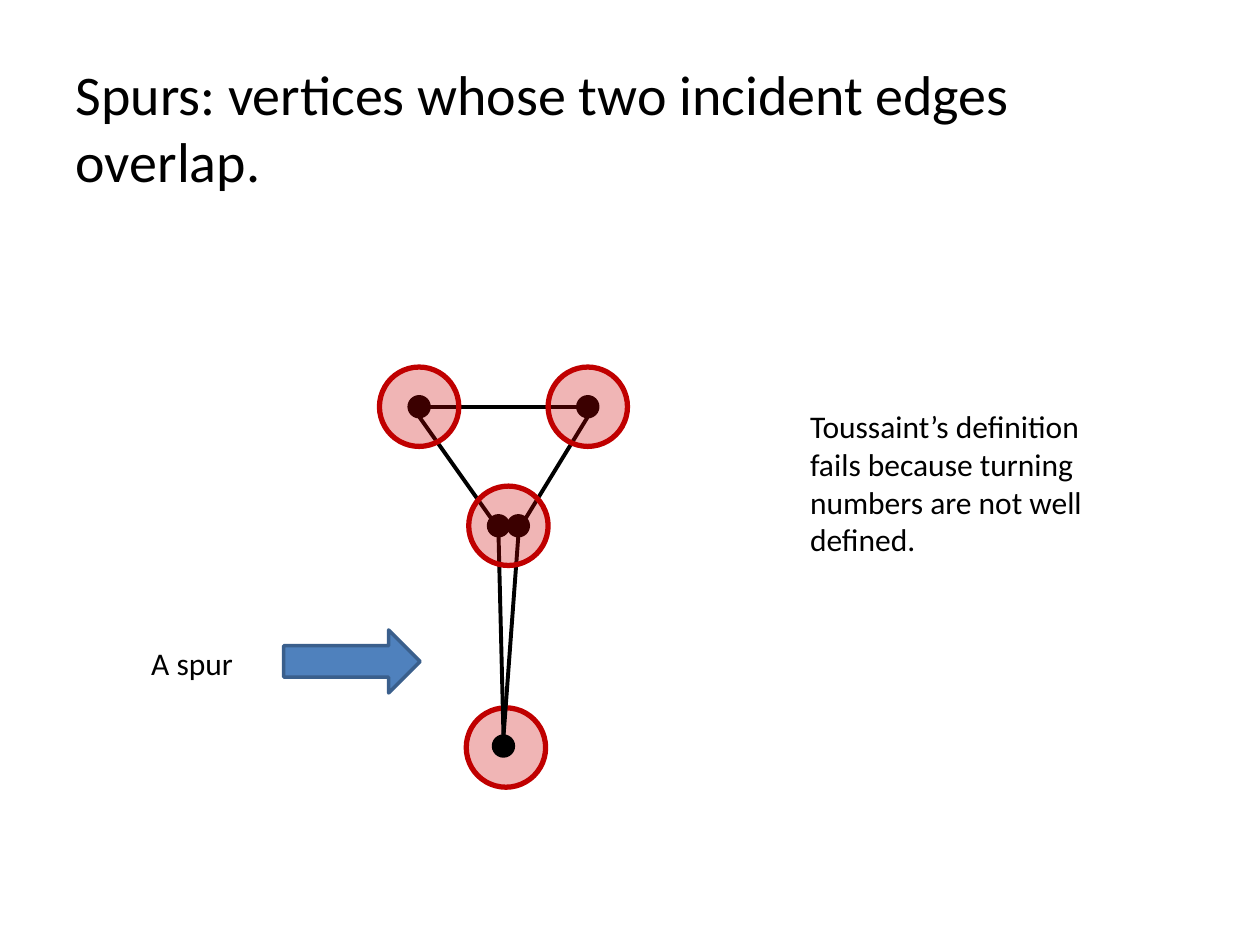
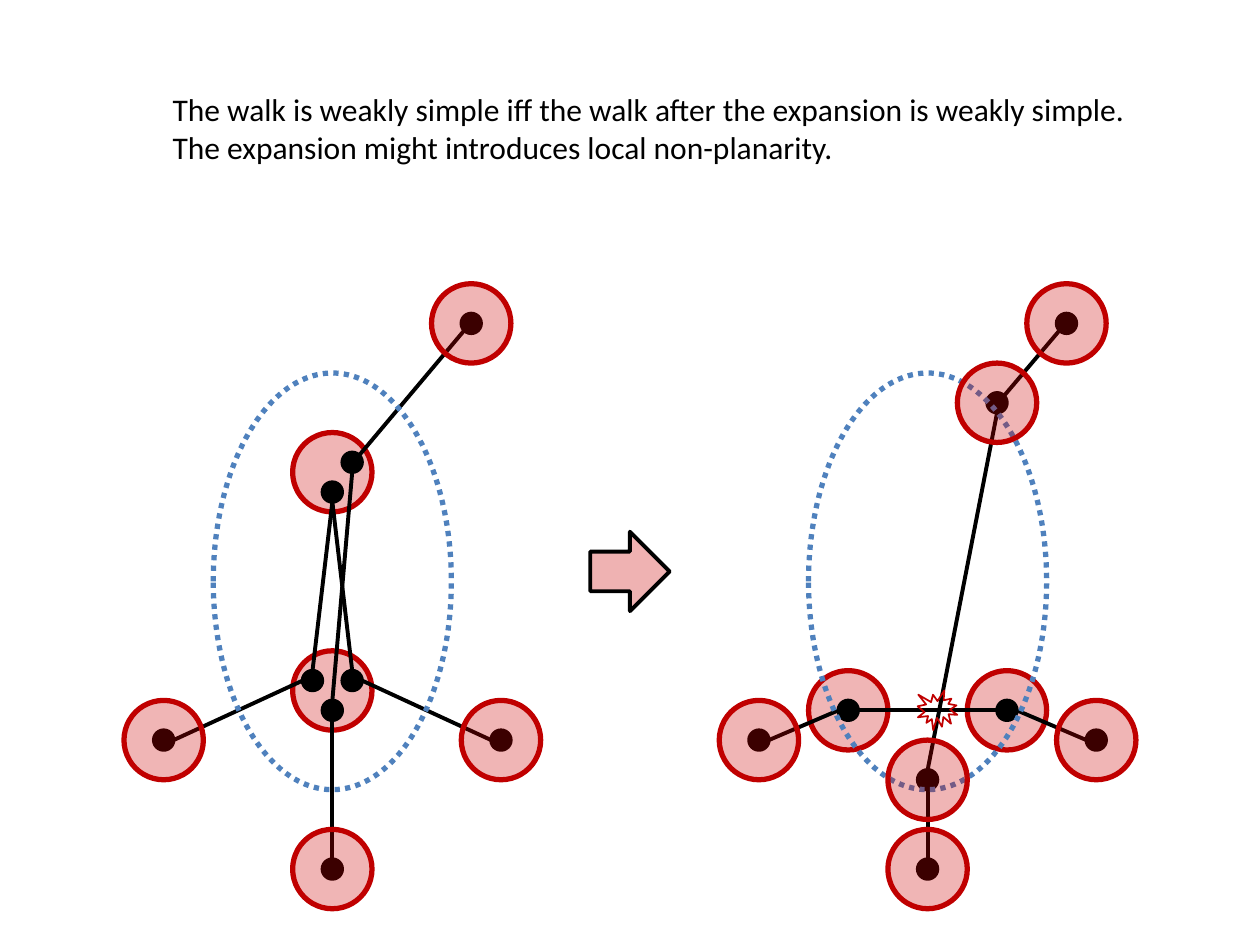
import math

import pptx
import pptx.dml.color
import pptx.enum.dml
import pptx.enum.shapes
import pptx.enum.text
import pptx.oxml.ns
import pptx.oxml.xmlchemy
import pptx.util
from pptx.util import Cm

Preset = pptx.enum.shapes.MSO_SHAPE
Anchor = pptx.enum.text.MSO_ANCHOR
AutoSize = pptx.enum.text.MSO_AUTO_SIZE
new_element = pptx.oxml.xmlchemy.OxmlElement

FONT = "Calibri"
BLACK = "000000"
DISK_FILL, DISK_LINE = "CC0000", "C00000"
BLUE, DARK_BLUE = "4F81BD", "3A5F8C"
DISK, DOT = 1.6, 0.4  # diameters in cm
COMPASS = {"E": 0, "SE": 45, "S": 90, "SW": 135, "W": 180, "NW": 225, "N": 270, "NE": 315}


def color(hex_string):
    return pptx.dml.color.RGBColor.from_string(hex_string)


# Shared drawing helpers; all lengths are in cm
def add_preset(slide, preset, left, top, width, height, line, weight, fill=None, opacity=100):
    shape = slide.shapes.add_shape(preset, Cm(left), Cm(top), Cm(width), Cm(height))
    shape.shadow.inherit = False
    shape.line.color.rgb = color(line)
    shape.line.width = pptx.util.Pt(weight)
    if fill is None:
        shape.fill.background()
        return shape
    shape.fill.solid()
    shape.fill.fore_color.rgb = color(fill)
    if opacity < 100:
        solid_fill = shape._element.spPr.find(pptx.oxml.ns.qn("a:solidFill"))
        alpha = new_element("a:alpha")
        alpha.set("val", str(opacity * 1000))
        solid_fill[0].append(alpha)
    return shape


def add_circle(slide, box, center, diameter, **style):
    left, top = (box[i] + center[i] - diameter / 2 for i in range(2))
    return add_preset(slide, Preset.OVAL, left, top, diameter, diameter, **style)


def add_disks(slide, box, centers):
    for center in centers:
        add_circle(slide, box, center, DISK, line=DISK_LINE, weight=3, fill=DISK_FILL, opacity=29)


def rim_point(box, center, direction):
    angle = math.radians(COMPASS[direction])
    return (Cm(box[0] + center[0] + DOT / 2 * math.cos(angle)),
            Cm(box[1] + center[1] + DOT / 2 * math.sin(angle)))


def add_walk(slide, box, vertices, edges):
    """Draw the vertices as dots and join them from rim to rim."""
    for start, start_side, end, end_side in edges:
        connector = slide.shapes.add_connector(
            pptx.enum.shapes.MSO_CONNECTOR.STRAIGHT,
            *rim_point(box, vertices[start], start_side),
            *rim_point(box, vertices[end], end_side))
        connector.line.color.rgb = color(BLACK)
        connector.line.width = pptx.util.Pt(2.25)
        connector._element.spPr.append(new_element("a:effectLst"))
    for center in vertices.values():
        add_circle(slide, box, center, DOT, line=BLACK, weight=2, fill=BLACK)


def format_text(text_frame, size):
    for paragraph in text_frame.paragraphs:
        paragraph.alignment = pptx.enum.text.PP_ALIGN.LEFT
        for run in paragraph.runs:
            run.font.name = FONT
            run.font.size = pptx.util.Pt(size)
            run.font.color.rgb = color(BLACK)


def add_note(slide, left, top, width, height, text, wrap):
    shape = slide.shapes.add_textbox(Cm(left), Cm(top), Cm(width), Cm(height))
    text_frame = shape.text_frame
    text_frame.text = text
    text_frame.word_wrap = wrap
    text_frame.auto_size = AutoSize.SHAPE_TO_FIT_TEXT
    format_text(text_frame, 18)


def set_title(slide, text):
    title = slide.shapes.title
    title.left, title.top, title.width, title.height = Cm(1.27), Cm(1.07), Cm(22.86), Cm(3.38)
    title.text_frame.text = text
    title.text_frame.vertical_anchor = Anchor.TOP
    title.text_frame.auto_size = AutoSize.NONE
    format_text(title.text_frame, 32)


# Triangle whose lower corner runs down to a spur and back
def draw_spur(slide, box):
    vertices = {"left": (0.8, 0.8), "right": (4.2, 0.8), "inner left": (2.4, 3.2),
                "inner right": (2.8, 3.2), "tip": (2.5, 7.64)}
    add_disks(slide, box, [(2.55, 7.67)])
    add_walk(slide, box, vertices, [
        ("left", "S", "inner left", "NW"),
        ("left", "E", "right", "W"),
        ("right", "S", "inner right", "NE"),
        ("tip", "N", "inner left", "S"),
        ("tip", "N", "inner right", "S"),
    ])
    add_disks(slide, box, [(2.6, 3.2), vertices["right"], vertices["left"]])


# Vertices outside the dotted ellipse, the same before and after expansion
OUTER = {"far": (7, 0.8), "left": (0.8, 9.2), "right": (7.6, 9.2), "bottom": (4.2, 11.8)}


def draw_cluster(slide, box, inner, edges, back_disks, front_disks=()):
    add_disks(slide, box, back_disks)
    add_walk(slide, box, {**OUTER, **inner}, edges)
    add_disks(slide, box, OUTER.values())
    ellipse = add_preset(slide, Preset.OVAL, box[0] + 1.8, box[1] + 1.8, 4.8, 8.4,
                         line=BLUE, weight=3)
    ellipse.line.dash_style = pptx.enum.dml.MSO_LINE.ROUND_DOT
    add_disks(slide, box, front_disks)


def draw_before(slide, box):
    inner = {"upper": (4.6, 3.6), "turn": (4.2, 4.2), "fork left": (3.8, 8),
             "fork right": (4.6, 8), "fork bottom": (4.2, 8.6)}
    draw_cluster(slide, box, inner, [
        ("far", "SW", "upper", "NE"),
        ("fork bottom", "N", "upper", "S"),
        ("bottom", "N", "fork bottom", "S"),
        ("fork left", "N", "turn", "S"),
        ("fork right", "N", "turn", "S"),
        ("right", "W", "fork right", "E"),
        ("left", "E", "fork left", "W"),
    ], back_disks=[(4.2, 8.2), (4.2, 3.8)])


def draw_after(slide, box):
    inner = {"near far": (5.6, 2.4), "near left": (2.6, 8.6),
             "near right": (5.8, 8.6), "near bottom": (4.2, 10)}
    draw_cluster(slide, box, inner, [
        ("far", "SW", "near far", "NE"),
        ("near bottom", "N", "near far", "S"),
        ("bottom", "N", "near bottom", "S"),
        ("near left", "E", "near right", "W"),
        ("right", "W", "near right", "E"),
        ("left", "E", "near left", "W"),
    ], back_disks=[inner["near left"], inner["near right"]],
        front_disks=[inner["near far"], inner["near bottom"]])
    # Crossing made by the expansion
    add_preset(slide, Preset.EXPLOSION1, box[0] + 4, box[1] + 8.2, 0.8, 0.8,
               line=DISK_LINE, weight=1)


def build_spur_slide(presentation):
    slide = presentation.slides.add_slide(presentation.slide_layouts.get_by_name("Title Only"))
    set_title(slide, "Spurs: vertices whose two incident edges overlap.")
    draw_spur(slide, (7.65, 7.4))
    add_preset(slide, Preset.RIGHT_ARROW, 5.72, 12.7, 2.75, 1.27,
               line=DARK_BLUE, weight=2, fill=BLUE)
    add_note(slide, 2.8, 12.85, 2.18, 1.02, "A spur", wrap=False)
    add_note(slide, 16.08, 8.08, 6.98, 3.33,
             "Toussaint’s definition fails because turning numbers are not well defined.",
             wrap=True)


def build_expansion_slide(presentation):
    slide = presentation.slides.add_slide(presentation.slide_layouts.get_by_name("Blank"))
    draw_before(slide, (2.5, 5.72))
    draw_after(slide, (14.5, 5.72))
    add_preset(slide, Preset.RIGHT_ARROW, 11.9, 10.72, 1.6, 1.6,
               line=BLACK, weight=2.25, fill=DISK_FILL, opacity=30)
    add_note(slide, 3.23, 1.7, 19.94, 1.8,
             "The walk is weakly simple iff the walk after the expansion is weakly simple.\n"
             "The expansion might introduces local non-planarity.", wrap=False)


presentation = pptx.Presentation()
presentation.slide_width, presentation.slide_height = Cm(25.4), Cm(19.05)
build_spur_slide(presentation)
build_expansion_slide(presentation)
presentation.save("out.pptx")
